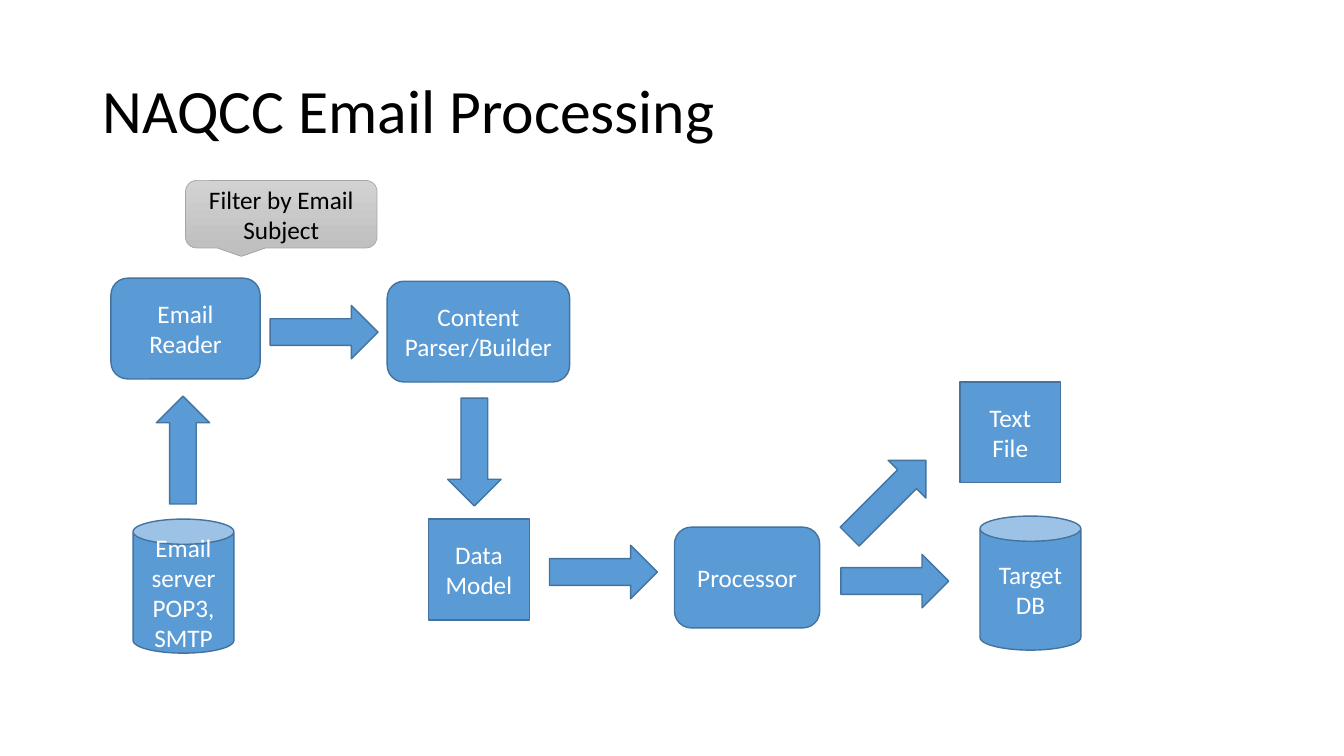
from dataclasses import dataclass

from pptx import Presentation
from pptx.dml.color import RGBColor
from pptx.enum import shapes, text
from pptx.util import Inches, Pt


@dataclass(frozen=True)
class Theme:
    font: str = "Calibri"
    title_size: int = 44
    body_size: int = 18
    dark: str = "000000"
    light: str = "FFFFFF"
    blue: str = "5B9BD5"
    blue_line: str = "43739E"
    gray_top: str = "D2D2D2"
    gray_bottom: str = "C0C0C0"
    gray_line: str = "A5A5A5"


theme = Theme()
Kind = shapes.MSO_SHAPE

presentation = Presentation()
presentation.slide_width = Inches(13.33)
presentation.slide_height = Inches(7.5)
slide = presentation.slides.add_slide(presentation.slide_layouts[6])


def write(shape, lines, size, color, alignment):
    """Fill the shape with one paragraph per line, centred vertically."""
    frame = shape.text_frame
    frame.word_wrap = True
    frame.vertical_anchor = text.MSO_ANCHOR.MIDDLE
    for index, line in enumerate(lines):
        paragraph = frame.add_paragraph() if index else frame.paragraphs[0]
        paragraph.alignment = alignment
        run = paragraph.add_run()
        run.text = line
        run.font.name = theme.font
        run.font.size = Pt(size)
        run.font.color.rgb = RGBColor.from_string(color)


def add_block(kind, left, top, width, height):
    """Add a blue outlined shape without a shadow."""
    shape = slide.shapes.add_shape(
        kind, Inches(left), Inches(top), Inches(width), Inches(height))
    shape.shadow.inherit = False
    shape.fill.solid()
    shape.fill.fore_color.rgb = RGBColor.from_string(theme.blue)
    shape.line.color.rgb = RGBColor.from_string(theme.blue_line)
    shape.line.width = Pt(1)
    return shape


# Title
title = slide.shapes.add_textbox(Inches(0.92), Inches(0.4), Inches(11.5), Inches(1.45))
write(title, ["NAQCC Email Processing"], theme.title_size, theme.dark, text.PP_ALIGN.LEFT)
title.text_frame.paragraphs[0].line_spacing = 0.9

# Processing steps, stores and outputs
blocks = [
    (Kind.CAN, 1.32, 5.15, 1, 1.33, ["Email server", "POP3, SMTP"]),
    (Kind.ROUNDED_RECTANGLE, 1.1, 2.76, 1.48, 1, ["Email Reader"]),
    (Kind.ROUNDED_RECTANGLE, 3.84, 2.79, 1.81, 1, ["Content Parser/Builder"]),
    (Kind.RECTANGLE, 4.25, 5.15, 1, 1, ["Data Model"]),
    (Kind.RECTANGLE, 9.52, 3.79, 1, 1, ["Text File"]),
    (Kind.ROUNDED_RECTANGLE, 6.69, 5.23, 1.44, 1, ["Processor"]),
    (Kind.CAN, 9.72, 5.12, 1, 1.33, ["Target DB"]),
]
for kind, left, top, width, height, lines in blocks:
    block = add_block(kind, left, top, width, height)
    write(block, lines, theme.body_size, theme.light, text.PP_ALIGN.CENTER)

# Flow arrows, all of one size
ARROW_LENGTH, ARROW_BREADTH = 1.07, 0.53
arrows = [
    (Kind.UP_ARROW, 1.55, 3.93, 0),
    (Kind.RIGHT_ARROW, 2.68, 3.03, 0),
    (Kind.DOWN_ARROW, 4.44, 3.95, 0),
    (Kind.RIGHT_ARROW, 5.45, 5.41, 0),
    (Kind.RIGHT_ARROW, 8.34, 5.5, 0),
    (Kind.RIGHT_ARROW, 8.27, 4.68, 315),
]
for kind, left, top, rotation in arrows:
    size = (ARROW_LENGTH, ARROW_BREADTH)
    if kind != Kind.RIGHT_ARROW:
        size = size[::-1]
    arrow = add_block(kind, left, top, *size)
    arrow.rotation = rotation

# Callout above the email reader
callout = add_block(Kind.ROUNDED_RECTANGULAR_CALLOUT, 1.84, 1.79, 1.9, 0.67)
callout.fill.gradient()
callout.fill.gradient_angle = 270
for stop, color in zip(callout.fill.gradient_stops, (theme.gray_top, theme.gray_bottom)):
    stop.color.rgb = RGBColor.from_string(color)
callout.line.color.rgb = RGBColor.from_string(theme.gray_line)
callout.line.width = Pt(0.5)
write(callout, ["Filter by Email Subject"], theme.body_size, theme.dark, text.PP_ALIGN.CENTER)

presentation.save("out.pptx")
